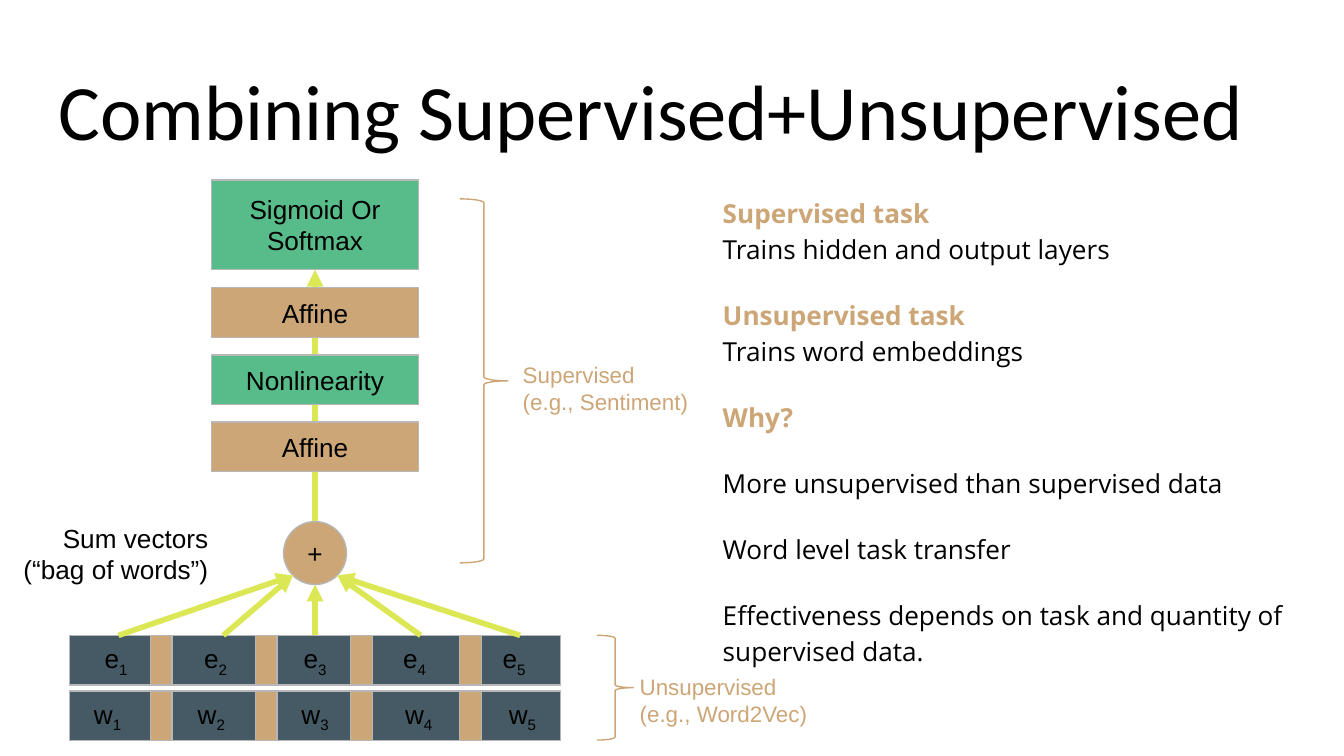
from dataclasses import dataclass

from lxml.etree import SubElement
from pptx import Presentation
from pptx.dml.color import RGBColor
from pptx.enum.shapes import MSO_CONNECTOR as Connector, MSO_SHAPE as Shape
from pptx.enum.text import MSO_ANCHOR as Anchor, MSO_AUTO_SIZE as AutoSize, PP_ALIGN as Align
from pptx.oxml.ns import qn
from pptx.util import Cm, Pt


@dataclass(frozen=True)
class Theme:
    ink: str = "000000"
    tan: str = "CCA677"
    green: str = "57BB8A"
    slate: str = "455A64"
    lime: str = "DCE755"
    edge: str = "B7B7B7"
    title_font: str = "Calibri"
    body_font: str = "Open Sans"
    label_font: str = "Arial"
    title_size: int = 42
    text_size: int = 14
    note_size: int = 12
    thin: float = 0.75
    thick: float = 3


@dataclass(frozen=True)
class Box:
    """A rectangle in centimetres."""
    left: float
    top: float
    width: float
    height: float

    @property
    def lengths(self):
        return Cm(self.left), Cm(self.top), Cm(self.width), Cm(self.height)

    @property
    def middle(self):
        return self.left + self.width / 2

    @property
    def bottom(self):
        return self.top + self.height

    def inner(self, left, top, width, height):
        return Box(self.left + left, self.top + top, width, height)


THEME = Theme()


def rgb(color):
    return RGBColor.from_string(color)


def write(holder, text, font=THEME.label_font, size=THEME.text_size, color=THEME.ink,
          bold=False, align=Align.LEFT, anchor=Anchor.TOP, before=0, spacing=1.0,
          subscripts=False, tabs=(), append=False):
    """Write one paragraph per line; with subscripts, digits are lowered."""
    frame = holder.text_frame
    frame.word_wrap = True
    frame.auto_size = AutoSize.NONE
    frame.vertical_anchor = anchor
    frame.margin_left = frame.margin_right = Cm(0.25)
    frame.margin_top = frame.margin_bottom = Cm(0.25)
    for number, line in enumerate(text.split("\n")):
        paragraph = frame.add_paragraph() if append or number else frame.paragraphs[0]
        paragraph.alignment = align
        paragraph.line_spacing = spacing
        paragraph.space_before = Pt(0 if number else before)
        if tabs:
            stops = SubElement(paragraph._p.get_or_add_pPr(), qn("a:tabLst"))
            for stop in tabs:
                SubElement(stops, qn("a:tab"), pos=str(Cm(stop)), algn="ctr")
        for piece in (line if subscripts else [line]):
            run = paragraph.add_run()
            run.text = piece
            run.font.name, run.font.size = font, Pt(size)
            run.font.bold, run.font.color.rgb = bold, rgb(color)
            if subscripts and piece.isdigit():
                run.font._element.set("baseline", "-25000")


def add_text(slide, box, text, **form):
    holder = slide.shapes.add_textbox(*box.lengths)
    write(holder, text, **form)


def add_block(slide, box, fill, text="", kind=Shape.RECTANGLE, **form):
    block = slide.shapes.add_shape(kind, *box.lengths)
    block.shadow.inherit = False
    block.fill.solid()
    block.fill.fore_color.rgb = rgb(fill)
    block.line.color.rgb = rgb(THEME.edge)
    block.line.width = Pt(THEME.thin)
    if text:
        write(block, text, **{"align": Align.CENTER, "anchor": Anchor.MIDDLE, **form})


def add_arrow(slide, start, end):
    arrow = slide.shapes.add_connector(Connector.STRAIGHT, *map(Cm, start + end))
    arrow.line.color.rgb = rgb(THEME.lime)
    arrow.line.width = Pt(THEME.thick)
    SubElement(arrow.line._get_or_add_ln(), qn("a:tailEnd"), type="triangle")
    SubElement(arrow._element.spPr, qn("a:effectLst"))


def add_title(slide, box, text):
    title = slide.shapes.title
    title.left, title.top, title.width, title.height = box.lengths
    write(title, text, font=THEME.title_font, size=THEME.title_size, anchor=Anchor.BOTTOM)


def add_vector_row(slide, box, letter, pitch):
    """A bar of five subscripted letters, cut by four dividers."""
    centre = box.width / 2 - 0.25
    add_block(slide, box, THEME.slate, "".join(f"\t{letter}{n}" for n in range(1, 6)),
              align=Align.LEFT, subscripts=True,
              tabs=[centre + pitch * step for step in range(-2, 3)])
    for offset in (1.52, 3.51, 5.31, 7.37):
        add_block(slide, box.inner(offset, 0, 0.41, box.height), THEME.tan)


def add_network(slide, box):
    layer_width, layer_height, layer_pitch = 3.91, 0.94, 1.27
    layer_left = (box.width - layer_width) / 2
    output = box.inner(layer_left, 0, layer_width, 1.7)
    total = box.inner((box.width - 1.19) / 2, 6.46, 1.19, 1.19)

    add_block(slide, output, THEME.green, "Sigmoid Or Softmax")
    add_arrow(slide, (box.middle, total.top), (box.middle, output.bottom))
    layers = (("Affine", THEME.tan), ("Nonlinearity", THEME.green), ("Affine", THEME.tan))
    for step, (name, fill) in enumerate(layers):
        layer = box.inner(layer_left, 2.04 + step * layer_pitch, layer_width, layer_height)
        add_block(slide, layer, fill, name)

    embeddings = box.inner(0, 8.61, box.width, layer_height)
    add_vector_row(slide, box.inner(0, 9.66, box.width, layer_height), "w", 1.96)
    add_vector_row(slide, embeddings, "e", 1.88)
    add_block(slide, total, THEME.tan, "+", kind=Shape.OVAL)
    for offset, side in ((0.92, -1), (2.9, -1), (box.width / 2, 0), (6.63, 1), (8.51, 1)):
        tip = total.bottom - 0.17 * abs(side)
        add_arrow(slide, (box.left + offset, embeddings.top), (box.middle + 0.42 * side, tip))

    add_text(slide, Box(0, total.top + 0.05, 4.19, 1.12), "Sum vectors\n(“bag of words”)",
             align=Align.RIGHT, anchor=Anchor.MIDDLE)


def add_brace(slide, box, label_box, label):
    brace = slide.shapes.add_shape(Shape.RIGHT_BRACE, *box.lengths)
    brace.shadow.inherit = False
    brace.fill.background()
    brace.line.color.rgb = rgb(THEME.tan)
    brace.line.width = Pt(THEME.thin)
    brace.adjustments[0], brace.adjustments[1] = 0.08, 0.5
    add_text(slide, label_box, label, size=THEME.note_size, color=THEME.tan)


def add_explanation(slide, box, entries):
    """Headings in bold tan, each followed by its plain paragraphs."""
    holder = slide.shapes.add_textbox(*box.lengths)
    for number, (text, is_heading, before) in enumerate(entries):
        write(holder, text, font=THEME.body_font, bold=is_heading,
              color=THEME.tan if is_heading else THEME.ink,
              before=before, spacing=1.15, append=number > 0)


def main():
    deck = Presentation()
    deck.slide_width, deck.slide_height = Cm(25.4), Cm(14.29)
    slide = deck.slides.add_slide(deck.slide_layouts[5])

    add_title(slide, Box(0.86, 0.89, 23.67, 2.31), "Combining Supervised+Unsupervised")
    gap = 16
    add_explanation(slide, Box(13.41, 3.4, 11.1, 9.32), (
        ("Supervised task", True, 0),
        ("Trains hidden and output layers", False, 0),
        ("Unsupervised task", True, gap),
        ("Trains word embeddings", False, 0),
        ("Why?", True, gap),
        ("More unsupervised than supervised data", False, gap),
        ("Word level task transfer", False, gap),
        ("Effectiveness depends on task and quantity of supervised data.", False, gap),
    ))
    add_network(slide, Box(1.32, 3.4, 9.27, 10.6))
    add_brace(slide, Box(8.69, 3.76, 0.91, 6.88), Box(9.63, 6.58, 3.81, 1.8),
              "Supervised\n(e.g., Sentiment)")
    add_brace(slide, Box(11.28, 12.01, 0.69, 1.98), Box(11.84, 12.47, 3.81, 1.8),
              "Unsupervised\n(e.g., Word2Vec)")
    deck.save("out.pptx")


if __name__ == "__main__":
    main()
